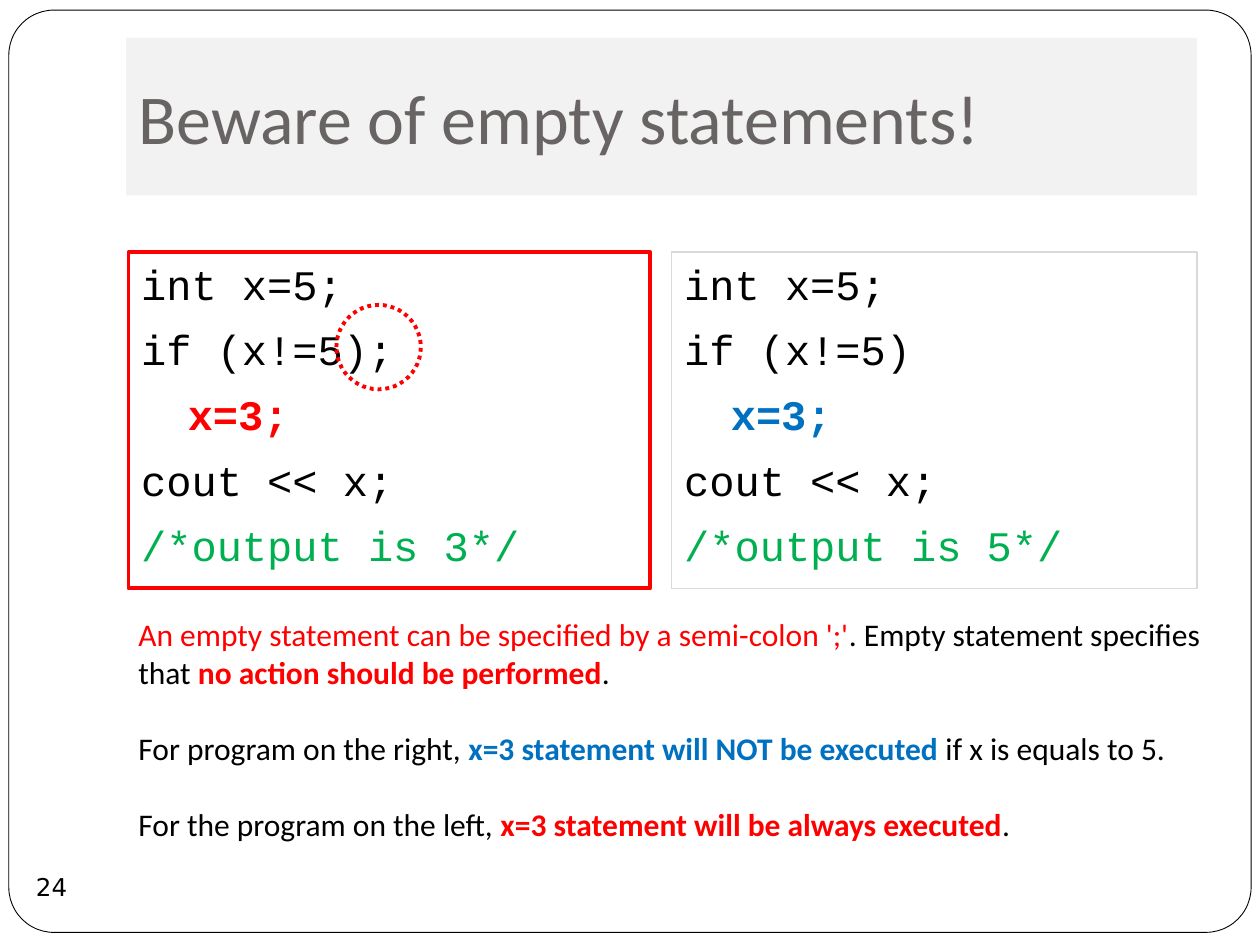
from typing import NamedTuple

from pptx import Presentation
from pptx.dml.color import RGBColor
from pptx.enum.dml import MSO_LINE
from pptx.enum.shapes import MSO_SHAPE
from pptx.enum.text import MSO_ANCHOR, MSO_AUTO_SIZE, PP_ALIGN
from pptx.oxml.ns import qn
from pptx.util import Pt

ROUND, OVAL = MSO_SHAPE.ROUNDED_RECTANGLE, MSO_SHAPE.OVAL
DOTS = MSO_LINE.ROUND_DOT
LEFT, CENTER = PP_ALIGN.LEFT, PP_ALIGN.CENTER
TOP, MIDDLE = MSO_ANCHOR.TOP, MSO_ANCHOR.MIDDLE
FIXED = MSO_AUTO_SIZE.NONE

SCALE = 9144  # EMU per px, 100 px to the inch
BLACK, WHITE, RED, BLUE, GREEN = "000000", "FFFFFF", "FF0000", "0070C0", "00B050"


class Box(NamedTuple):
    x: int
    y: int
    w: int
    h: int


class Span(NamedTuple):
    text: str
    color: str = BLACK
    bold: bool = False


class Code(NamedTuple):
    box: Box
    edge: str
    width: float
    test: str
    accent: str
    result: str


def px(n: int) -> int:
    return n * SCALE


def rgb(code: str) -> RGBColor:
    return RGBColor.from_string(code)


def place(shape, box: Box) -> None:
    shape.left, shape.top, shape.width, shape.height = map(px, box)


def paint(shape, fill=None, edge=None, width=0.75, dash=None) -> None:
    if fill:
        shape.fill.solid()
        shape.fill.fore_color.rgb = rgb(fill)
    else:
        shape.fill.background()
    if edge:
        shape.line.color.rgb = rgb(edge)
        shape.line.width = Pt(width)
        if dash:
            shape.line.dash_style = dash
    else:
        shape.line.fill.background()


def write(shape, lines, *, font: str, size: int, align=LEFT, anchor=TOP,
          wrap=True, before=0.0, gap=0.0, hang=0, inset=True) -> None:
    """Fill a shape with lines of spans; gap is the space between lines."""
    frame = shape.text_frame
    frame.auto_size, frame.word_wrap = FIXED, wrap
    frame.vertical_anchor = anchor
    frame.margin_left = frame.margin_right = px(10 if inset else 0)
    frame.margin_top = frame.margin_bottom = px(5 if inset else 0)
    for i, spans in enumerate(lines):
        para = frame.add_paragraph() if i else frame.paragraphs[0]
        para.alignment = align
        para.space_before = Pt(before + (gap if i else 0))
        props = para._p.get_or_add_pPr()
        props.set("marL", str(px(hang)))
        props.set("indent", str(-px(hang)))
        props.append(props.makeelement(qn("a:buNone"), {}))
        for span in spans:
            run = para.add_run()
            run.text = span.text
            run.font.name, run.font.size = font, Pt(size)
            run.font.bold = span.bold
            run.font.color.rgb = rgb(span.color)


def add(slide, kind, box: Box, **look):
    shape = slide.shapes.add_shape(kind, *map(px, box))
    shape.shadow.inherit = False
    paint(shape, **look)
    return shape


def show(holder, code: Code) -> None:
    place(holder, code.box)
    paint(holder, edge=code.edge, width=code.width)
    lines = [
        [Span("int x=5;")],
        [Span(code.test)],
        [Span("\tx=3;", code.accent, True)],
        [Span("cout << x;")],
        [Span(code.result, GREEN)],
    ]
    write(holder, lines, font="Courier New", size=24, before=8.5, hang=37)


CODES = [
    Code(Box(102, 200, 414, 267), RED, 2.25, "if (x!=5);", RED, "/*output is 3*/"),
    Code(Box(533, 200, 417, 267), "D9D9D9", 0.75, "if (x!=5)", BLUE, "/*output is 5*/"),
]
NOTES = [
    [Span("An empty statement can be specified by a semi-colon ';'", RED),
     Span(". Empty statement specifies that "),
     Span("no action should be performed", RED, True), Span(".")],
    [Span("For program on the right, "),
     Span("x=3 statement will NOT be executed", BLUE, True),
     Span(" if x is equals to 5.")],
    [Span("For the program on the left, "),
     Span("x=3 statement will be always executed", RED, True), Span(".")],
]


def main() -> None:
    deck = Presentation()
    deck.slide_width, deck.slide_height = px(1000), px(750)
    slide = deck.slides.add_slide(deck.slide_layouts[3])
    title, *panes = slide.placeholders

    # Rounded frame, sent behind the placeholders
    frame = add(slide, ROUND, Box(7, 8, 986, 732), fill=WHITE, edge=BLACK, width=0.5)
    frame.adjustments[0] = 0.049
    slide.shapes._spTree.insert(2, frame._element)

    # Title band
    place(title, Box(100, 30, 850, 125))
    paint(title, fill="F2F2F2")
    write(title, [[Span("Beware of empty statements!", "696464")]],
          font="Calibri", size=40, anchor=MIDDLE)

    # Slide number
    badge = add(slide, OVAL, Box(16, 679, 50, 50))
    write(badge, [[Span("24")]], font="DejaVu Sans", size=14, align=CENTER,
          anchor=MIDDLE, wrap=False, inset=False)

    # Two programs side by side
    for pane, code in zip(panes, CODES):
        show(pane, code)

    # Explanation
    notes = slide.shapes.add_textbox(*map(px, Box(100, 483, 875, 222)))
    write(notes, NOTES, font="Calibri", size=18, gap=22)

    # Ring around the stray semicolon
    add(slide, OVAL, Box(267, 242, 67, 67), edge=RED, width=2.25, dash=DOTS)

    deck.save("out.pptx")


if __name__ == "__main__":
    main()
